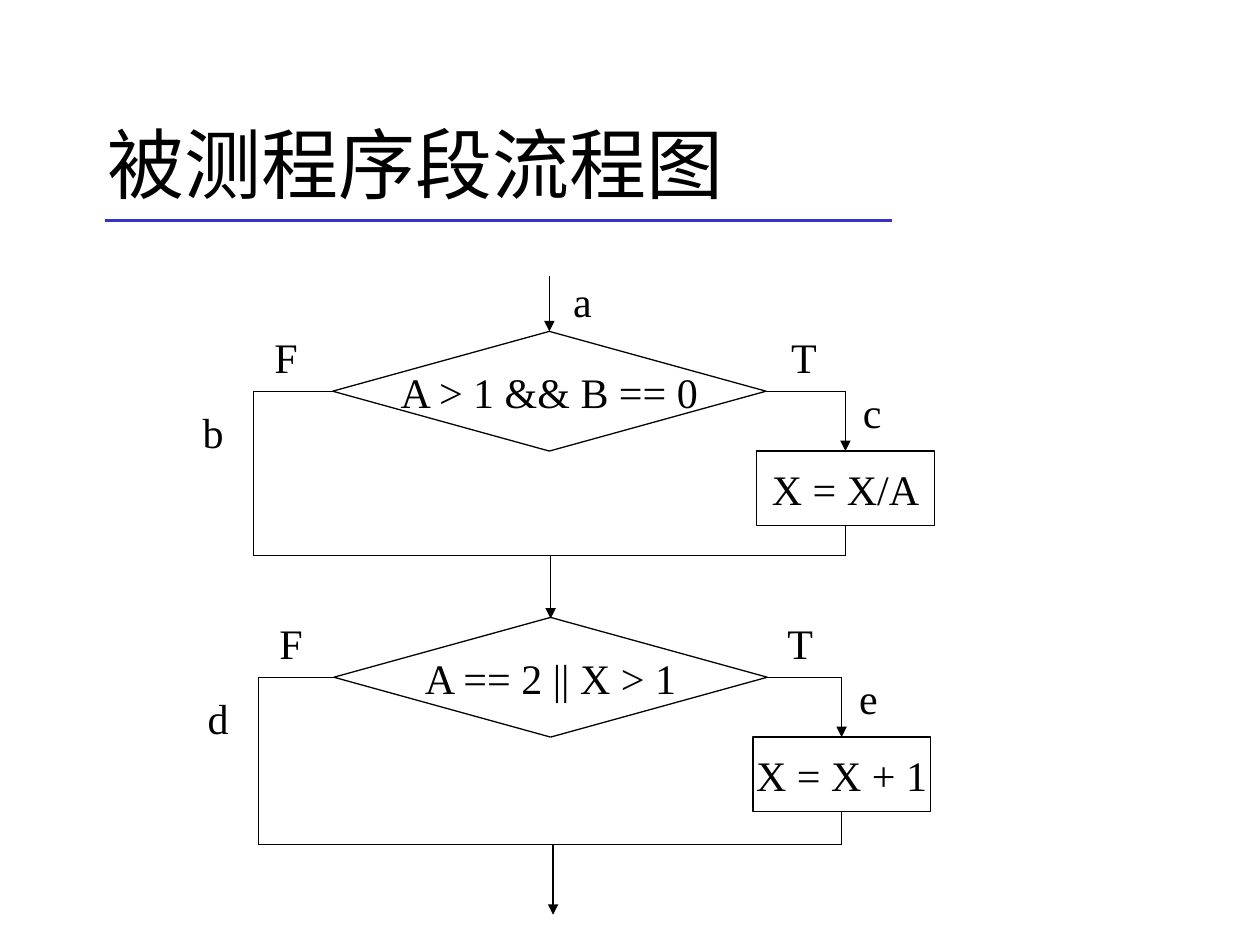
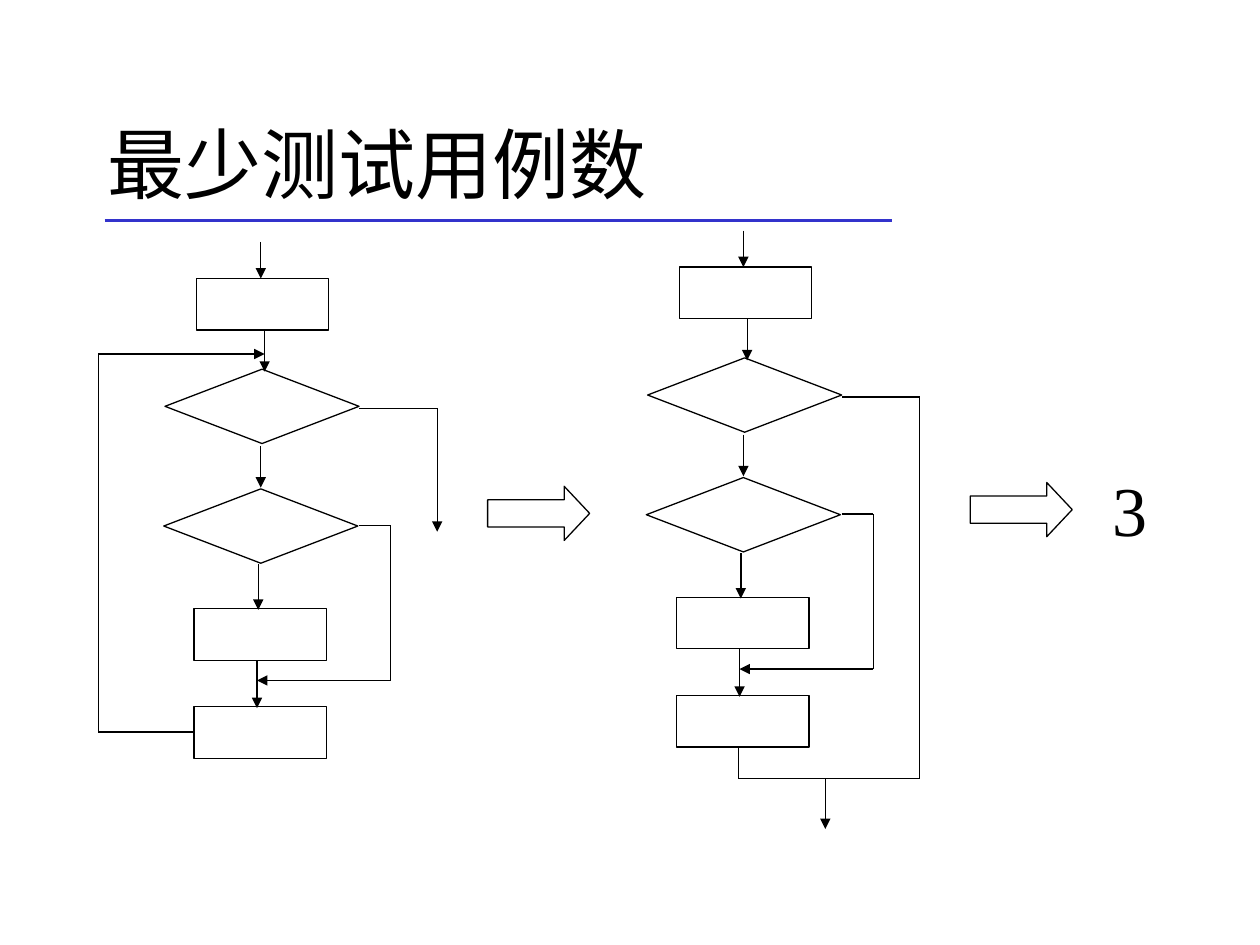
from itertools import pairwise

from lxml import etree
from pptx import Presentation
from pptx.dml.color import RGBColor
from pptx.enum import shapes, text
from pptx.oxml import ns
from pptx.util import Inches, Pt

BLACK = RGBColor(0x00, 0x00, 0x00)
RULE_BLUE = RGBColor(0x33, 0x33, 0xCC)
TITLE_FONT = "Noto Sans CJK SC"
BODY_FONT = "Times New Roman"
SHAPE = shapes.MSO_SHAPE


def write(sp, content, size=24, font=BODY_FONT, color=BLACK, wrap=True,
          align=text.PP_ALIGN.LEFT, anchor=text.MSO_ANCHOR.TOP):
    tf = sp.text_frame
    tf.word_wrap = wrap
    tf.auto_size = text.MSO_AUTO_SIZE.NONE
    tf.vertical_anchor = anchor
    p = tf.paragraphs[0]
    p.alignment = align
    r = p.add_run()
    r.text = content
    r.font.size = Pt(size)
    r.font.name = font
    r.font.color.rgb = color
    ea = etree.SubElement(r.font._element, ns.qn("a:ea"))
    ea.set("typeface", font)


def add_line(s, start, end, color=BLACK, width=0.75, arrow=False):
    line = s.shapes.add_connector(
        shapes.MSO_CONNECTOR.STRAIGHT, *map(Inches, (*start, *end)))
    line.line.color.rgb = color
    line.line.width = Pt(width)
    if arrow:
        tail = etree.SubElement(line.line._get_or_add_ln(), ns.qn("a:tailEnd"))
        tail.set("type", "triangle")
    etree.SubElement(line._element.spPr, ns.qn("a:effectLst"))


def add_route(s, *points, arrow=False):
    """Join the points with straight lines; the arrowhead goes on the last."""
    for i, (start, end) in enumerate(pairwise(points), 2):
        add_line(s, start, end, arrow=arrow and i == len(points))


def add_arrow_down(s, x, top, bottom):
    add_line(s, (x, top), (x, bottom), arrow=True)


def add_node(s, kind, x, y, w, h, content=None):
    sp = s.shapes.add_shape(kind, *map(Inches, (x, y, w, h)))
    sp.shadow.inherit = False
    sp.fill.background()
    sp.line.color.rgb = BLACK
    sp.line.width = Pt(0.75)
    if content:
        write(sp, content, wrap=False, align=text.PP_ALIGN.CENTER,
              anchor=text.MSO_ANCHOR.MIDDLE)
    return sp


def add_label(s, content, x, y, w=0.46, h=0.5, size=24):
    box = s.shapes.add_textbox(*map(Inches, (x, y, w, h)))
    write(box, content, size=size)


def add_titled_slide(prs, title):
    s = prs.slides.add_slide(prs.slide_layouts[5])
    sp = s.shapes.title
    sp.left, sp.top, sp.width, sp.height = map(Inches, (0.75, 0.67, 8.5, 1.25))
    write(sp, title, size=44, font=TITLE_FONT, anchor=text.MSO_ANCHOR.MIDDLE)
    add_line(s, (0.83, 1.75), (7.08, 1.75), color=RULE_BLUE, width=2.25)
    return s


def add_decision(s, top, centre, left, right, join, condition, action,
                 false_name, true_name):
    """Draw an if-block whose two branches meet again at height join."""
    half_w, h = 1.72, 0.95
    middle = top + h / 2
    box_w, box_h, box_top = 1.41, 0.59, top + 0.95
    add_node(s, SHAPE.DIAMOND, centre - half_w, top, 2 * half_w, h, condition)
    add_node(s, SHAPE.RECTANGLE, right - box_w / 2, box_top, box_w, box_h, action)
    add_route(s, (centre - half_w, middle), (left, middle), (left, join),
              (right, join), (right, box_top + box_h))
    add_route(s, (centre + half_w, middle), (right, middle), (right, box_top),
              arrow=True)
    add_label(s, "F", left + 0.07, top - 0.05)
    add_label(s, "T", right - 0.53, top - 0.05)
    add_label(s, false_name, left - 0.5, top + 0.55)
    add_label(s, true_name, right + 0.04, top + 0.39)


def add_flow(s, dx=0, dy=0):
    """Draw the steps that both flowcharts share, shifted by dx and dy."""
    for x, y in ((1.56, 2.21), (1.54, 4.83), (1.54, 5.61)):
        add_node(s, SHAPE.RECTANGLE, x + dx, y + dy, 1.05, 0.41)
    for x, y in ((1.31, 2.93), (1.3, 3.88)):
        add_node(s, SHAPE.DIAMOND, x + dx, y + dy, 1.54, 0.59)
    for x, top, bottom in ((2.07, 1.92, 2.21), (2.1, 2.62, 2.95),
                           (2.07, 3.54, 3.87), (2.05, 4.48, 4.84),
                           (2.04, 5.24, 5.62)):
        add_arrow_down(s, x + dx, top + dy, bottom + dy)
    bypass = ((2.85, 4.17), (3.1, 4.17), (3.1, 5.4), (2.04, 5.4))
    add_route(s, *((x + dx, y + dy) for x, y in bypass), arrow=True)


def add_block_arrow(s, x, y):
    sp = add_node(s, SHAPE.RIGHT_ARROW, x, y, 0.81, 0.43)
    sp.adjustments[1] = 0.47


def build_program_flowchart(prs):
    s = add_titled_slide(prs, "被测程序段流程图")
    add_arrow_down(s, 4.36, 2.19, 2.63)
    add_label(s, "a", 4.45, 2.14)
    add_decision(s, 2.63, 4.36, 2.01, 6.71, 4.41,
                 "A > 1 && B == 0", "X = X/A", "b", "c")
    add_arrow_down(s, 4.37, 4.41, 4.91)
    add_decision(s, 4.9, 4.37, 2.05, 6.68, 6.7,
                 "A == 2 || X > 1", "X = X + 1", "d", "e")
    add_arrow_down(s, 4.39, 6.7, 7.26)


def build_test_case_count(prs):
    s = add_titled_slide(prs, "最少测试用例数")
    add_flow(s)
    add_route(s, (2.85, 3.24), (3.47, 3.24), (3.47, 4.22), arrow=True)
    add_route(s, (1.54, 5.81), (0.78, 5.81), (0.78, 2.81), (2.1, 2.81),
              arrow=True)
    add_block_arrow(s, 3.87, 3.86)

    add_flow(s, dx=3.83, dy=-0.09)
    add_route(s, (6.68, 3.15), (7.3, 3.15), (7.3, 6.18), (5.86, 6.18),
              (5.86, 5.93))
    add_arrow_down(s, 6.55, 6.18, 6.58)
    add_block_arrow(s, 7.7, 3.83)
    add_label(s, "3", 8.73, 3.65, w=1.03, h=0.77, size=40)


def main():
    prs = Presentation()
    prs.slide_width, prs.slide_height = Inches(10), Inches(7.5)
    build_program_flowchart(prs)
    build_test_case_count(prs)
    prs.save("out.pptx")


if __name__ == "__main__":
    main()
